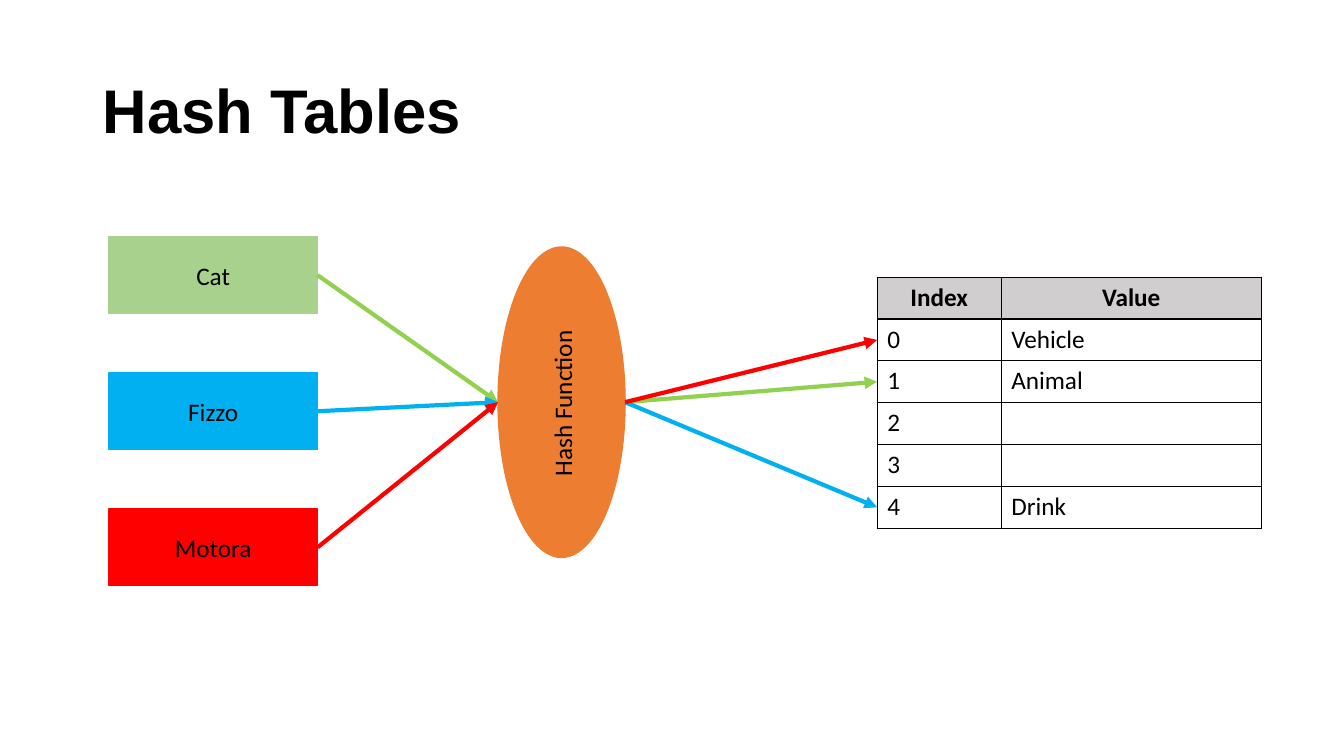
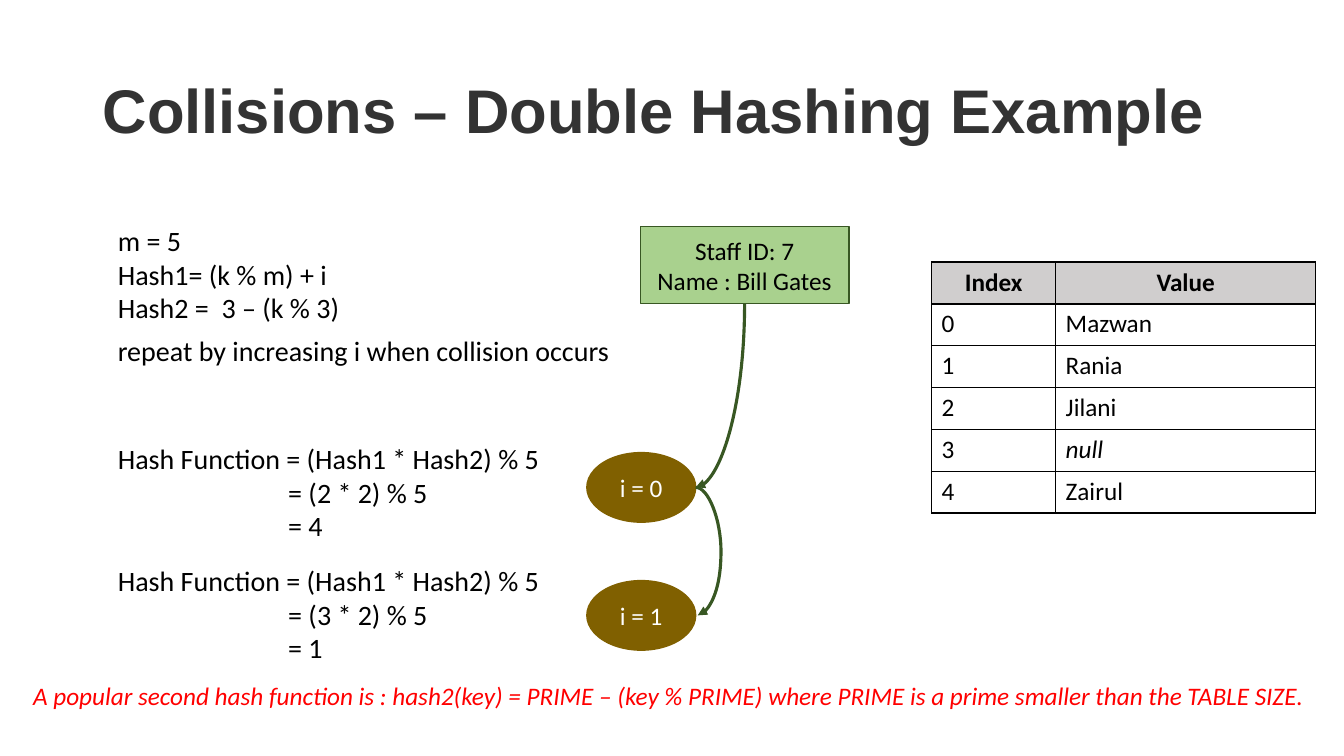
from dataclasses import dataclass
from typing import Any, Optional

import pptx
import pptx.dml.color
import pptx.enum.shapes
import pptx.enum.text
import pptx.oxml
import pptx.oxml.ns
import pptx.util

Inches = pptx.util.Inches
Pt = pptx.util.Pt
qn = pptx.oxml.ns.qn
Shape = pptx.enum.shapes.MSO_SHAPE
Link = pptx.enum.shapes.MSO_CONNECTOR
Align = pptx.enum.text.PP_ALIGN
Anchor = pptx.enum.text.MSO_ANCHOR

# Shared look
BLACK, WHITE, RED, SKY = "000000", "FFFFFF", "FF0000", "00B0F0"
LEAF, LIME, FOREST = "A9D18E", "92D050", "385723"
ORANGE, BROWN, GREY, CHARCOAL = "ED7D31", "806000", "D0CECE", "333333"
LABEL = {"name": "Calibri", "size": Pt(18), "bold": False, "italic": False}
HEADER = LABEL | {"bold": True}
ITALIC = LABEL | {"italic": True}
FORMULA = LABEL | {"size": Pt(20)}
TITLE = {"name": "Arial", "size": Pt(44), "bold": True}
COLUMNS = (1.23, 2.58)
ROW_HEIGHT = 0.415
KEY_WIDTH, KEY_HEIGHT = 2.07, 0.76

Point = tuple[float, float]


@dataclass(frozen=True)
class Box:
    left: float
    top: float
    width: float
    height: float

    def emu(self) -> list[int]:
        return [Inches(v) for v in (self.left, self.top, self.width, self.height)]

    @property
    def middle(self) -> float:
        return self.top + self.height / 2

    @property
    def left_point(self) -> Point:
        return self.left, self.middle

    @property
    def right_point(self) -> Point:
        return self.left + self.width, self.middle

    @property
    def bottom_point(self) -> Point:
        return self.left + self.width / 2, self.top + self.height


@dataclass(frozen=True)
class Key:
    text: str
    fill: str
    arrow: str
    row: int


@dataclass(frozen=True)
class Probe:
    text: str
    top: float
    steps: tuple[str, ...]
    steps_top: float


def color(value: str) -> pptx.dml.color.RGBColor:
    return pptx.dml.color.RGBColor.from_string(value)


def write(frame: Any, lines: tuple[str, ...], fmt: dict[str, Any], ink: str = BLACK,
          align: Any = Align.LEFT, hang: float = 0) -> None:
    """Fill a text frame; lines after the first are indented by hang."""
    for i, line in enumerate(lines):
        paragraph = frame.paragraphs[0] if i == 0 else frame.add_paragraph()
        paragraph.alignment = align
        if hang and i:
            paragraph._p.get_or_add_pPr().set("marL", str(Inches(hang)))
        run = paragraph.add_run()
        run.text = line
        for name, value in fmt.items():
            setattr(run.font, name, value)
        run.font.color.rgb = color(ink)


def add_text(slide: Any, box: Box, lines: tuple[str, ...], fmt: dict[str, Any],
             ink: str = BLACK, wrap: bool = False, hang: float = 0) -> Any:
    textbox = slide.shapes.add_textbox(*box.emu())
    textbox.text_frame.word_wrap = wrap
    write(textbox.text_frame, lines, fmt, ink, hang=hang)
    return textbox


def add_title(slide: Any, text: str, ink: str) -> None:
    frame = add_text(slide, Box(0.92, 0.4, 11.5, 1.45), (text,), TITLE, ink, True).text_frame
    frame.vertical_anchor = Anchor.MIDDLE
    frame.paragraphs[0].line_spacing = 0.9


def add_node(slide: Any, kind: Any, box: Box, fill: str, lines: tuple[str, ...] = (),
             ink: str = BLACK, outline: Optional[str] = None) -> None:
    node = slide.shapes.add_shape(kind, *box.emu())
    node.shadow.inherit = False
    node.fill.solid()
    node.fill.fore_color.rgb = color(fill)
    node.line.color.rgb = color(outline or fill)
    node.line.width = Pt(1)
    node.text_frame.vertical_anchor = Anchor.MIDDLE
    write(node.text_frame, lines, LABEL, ink, Align.CENTER)


def add_arrow(slide: Any, start: Point, end: Point, ink: str, width: float,
              kind: Any = Link.STRAIGHT) -> Any:
    arrow = slide.shapes.add_connector(kind, *[Inches(v) for v in start + end])
    arrow.line.color.rgb = color(ink)
    arrow.line.width = Pt(width)
    line = arrow.line._get_or_add_ln()
    pptx.oxml.ns  # namespace map used by qn
    line.append(line.makeelement(qn("a:tailEnd"), {"type": "triangle"}))
    properties = arrow._element.spPr
    properties.append(properties.makeelement(qn("a:effectLst"), {}))
    return arrow


def add_quarter_curve(slide: Any, start: Point, end: Point, ink: str, width: float) -> None:
    """Leave start downwards and reach end, at its lower left, sideways."""
    across, down = start[0] - end[0], end[1] - start[1]
    left = (start[0] + end[0] - down) / 2
    top = (start[1] + end[1] - across) / 2
    arrow = add_arrow(slide, (left, top), (left + down, top + across), ink, width, Link.CURVE)
    arrow._element.spPr.find(qn("a:prstGeom")).set("prst", "curvedConnector2")
    arrow._element.spPr.find(qn("a:xfrm")).set("rot", str(90 * 60000))


def add_bulging_curve(slide: Any, start: Point, end: Point, bulge: float,
                      ink: str, width: float) -> None:
    """Swing out to the right of start by bulge before reaching end."""
    arrow = add_arrow(slide, start, end, ink, width, Link.CURVE)
    geometry = arrow._element.spPr.find(qn("a:prstGeom"))
    guides = geometry.find(qn("a:avLst"))
    ratio = round(bulge / (end[0] - start[0]) * 100000)
    guides.append(guides.makeelement(qn("a:gd"), {"name": "adj1", "fmla": f"val {ratio}"}))


def add_cell_borders(cell: Any) -> None:
    properties = cell._tc.get_or_add_tcPr()
    for position, side in enumerate(("lnL", "lnR", "lnT", "lnB")):
        border = properties.makeelement(qn(f"a:{side}"), {"w": str(Pt(1))})
        fill = border.makeelement(qn("a:solidFill"), {})
        fill.append(fill.makeelement(qn("a:srgbClr"), {"val": BLACK}))
        border.append(fill)
        properties.insert(position, border)


def add_hash_table(slide: Any, left: float, top: float, values: tuple[str, ...]) -> None:
    rows = [("Index", "Value")] + [(str(i), value) for i, value in enumerate(values)]
    box = Box(left, top, sum(COLUMNS), ROW_HEIGHT * len(rows))
    table = slide.shapes.add_table(len(rows), len(COLUMNS), *box.emu()).table
    table.first_row = table.horz_banding = False
    for column, width in zip(table.columns, COLUMNS):
        column.width = Inches(width)
    for r, row in enumerate(rows):
        table.rows[r].height = Inches(ROW_HEIGHT)
        for c, text in enumerate(row):
            cell = table.cell(r, c)
            cell.fill.solid()
            cell.fill.fore_color.rgb = color(WHITE if r else GREY)
            add_cell_borders(cell)
            fmt = HEADER if r == 0 else ITALIC if text == "null" else LABEL
            write(cell.text_frame, (text,) if text else (), fmt,
                  align=Align.LEFT if r else Align.CENTER)


def build_hash_tables(slide: Any) -> None:
    add_title(slide, "Hash Tables", BLACK)
    keys = (Key("Cat", LEAF, LIME, 1), Key("Fizzo", SKY, SKY, 4), Key("Motora", RED, RED, 0))
    table_left, table_top = 8.7, 2.75

    # Hash function
    function = Box(4.94, 2.45, 1.26, 3.08)
    add_node(slide, Shape.OVAL, function, ORANGE)
    add_text(slide, Box(4.74, 3.79, 1.67, 0.4), ("Hash Function",), LABEL).rotation = 270

    add_hash_table(slide, table_left, table_top, ("Vehicle", "Animal", "", "", "Drink"))

    # Keys, with their ways through the function into the table
    for i, key in enumerate(keys):
        box = Box(1.08, 2.35 + 1.35 * i, KEY_WIDTH, KEY_HEIGHT)
        add_node(slide, Shape.RECTANGLE, box, key.fill, (key.text,))
        slot = table_left, table_top + ROW_HEIGHT * (key.row + 1.5)
        add_arrow(slide, box.right_point, function.left_point, key.arrow, 3)
        add_arrow(slide, function.right_point, slot, key.arrow, 3)


def build_double_hashing(slide: Any) -> None:
    add_title(slide, "Collisions – Double Hashing Example", CHARCOAL)
    add_hash_table(slide, 9.24, 2.6, ("Mazwan", "Rania", "Jilani", "null", "Zairul"))

    # Staff record and definitions
    staff = Box(6.35, 2.25, KEY_WIDTH, KEY_HEIGHT)
    add_node(slide, Shape.RECTANGLE, staff, LEAF,
             ("Staff ID: 7", "Name : Bill Gates"), outline=FOREST)
    text_left = 1.07
    add_text(slide, Box(text_left, 2.17, 2.42, 1.11),
             ("m = 5", "Hash1= (k % m) + i", "Hash2 =  3 – (k % 3)"), FORMULA)
    add_text(slide, Box(text_left, 3.26, 5.12, 0.44),
             ("repeat by increasing i when collision occurs",), FORMULA)

    # Probes
    probes = (Probe("i = 0", 4.49, ("= (2 * 2) % 5", "= 4"), 4.33),
              Probe("i = 1", 5.76, ("= (3 * 2) % 5", "= 1"), 5.54))
    ovals = [Box(5.82, probe.top, 1.08, 0.69) for probe in probes]
    for probe, oval in zip(probes, ovals):
        add_text(slide, Box(text_left, probe.steps_top, 4.42, 1.11),
                 ("Hash Function = (Hash1 * Hash2) % 5",) + probe.steps, FORMULA, hang=1.69)
        add_node(slide, Shape.OVAL, oval, BROWN, (probe.text,), WHITE)

    first, second = (oval.right_point for oval in ovals)
    add_quarter_curve(slide, staff.bottom_point, first, FOREST, 2.25)
    add_bulging_curve(slide, first, (second[0] + 0.02, second[1]), 0.25, FOREST, 2.25)

    # Closing remark
    add_text(slide, Box(0.23, 6.7, 12.9, 0.4),
             ("A popular second hash function is : hash2(key) = PRIME – (key % PRIME) "
              "where PRIME is a prime smaller than the TABLE SIZE.",), ITALIC, RED, True)


def main() -> None:
    deck = pptx.Presentation()
    deck.slide_width, deck.slide_height = Inches(13.33), Inches(7.5)
    for build in (build_hash_tables, build_double_hashing):
        build(deck.slides.add_slide(deck.slide_layouts[6]))
    deck.save("out.pptx")


if __name__ == "__main__":
    main()
